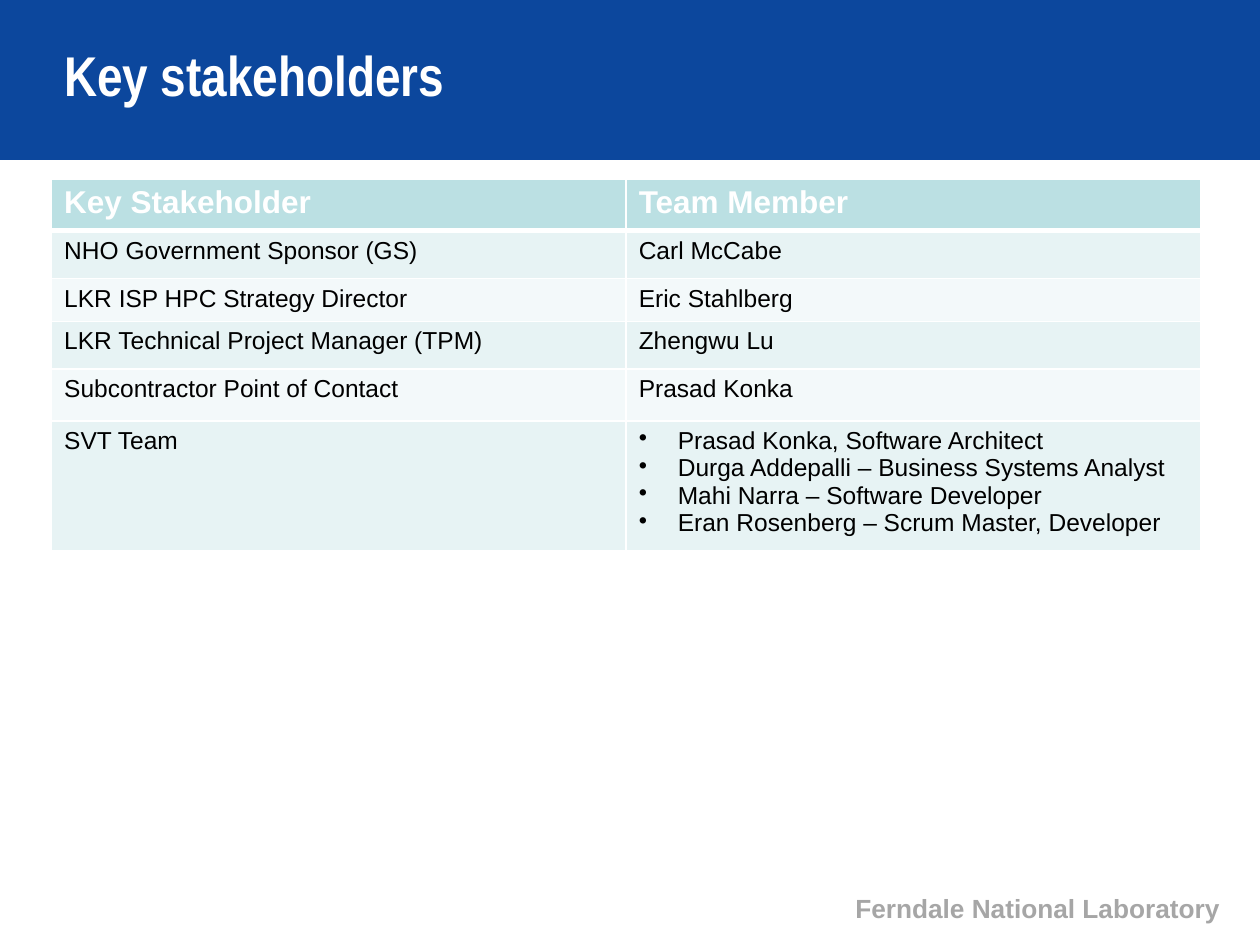
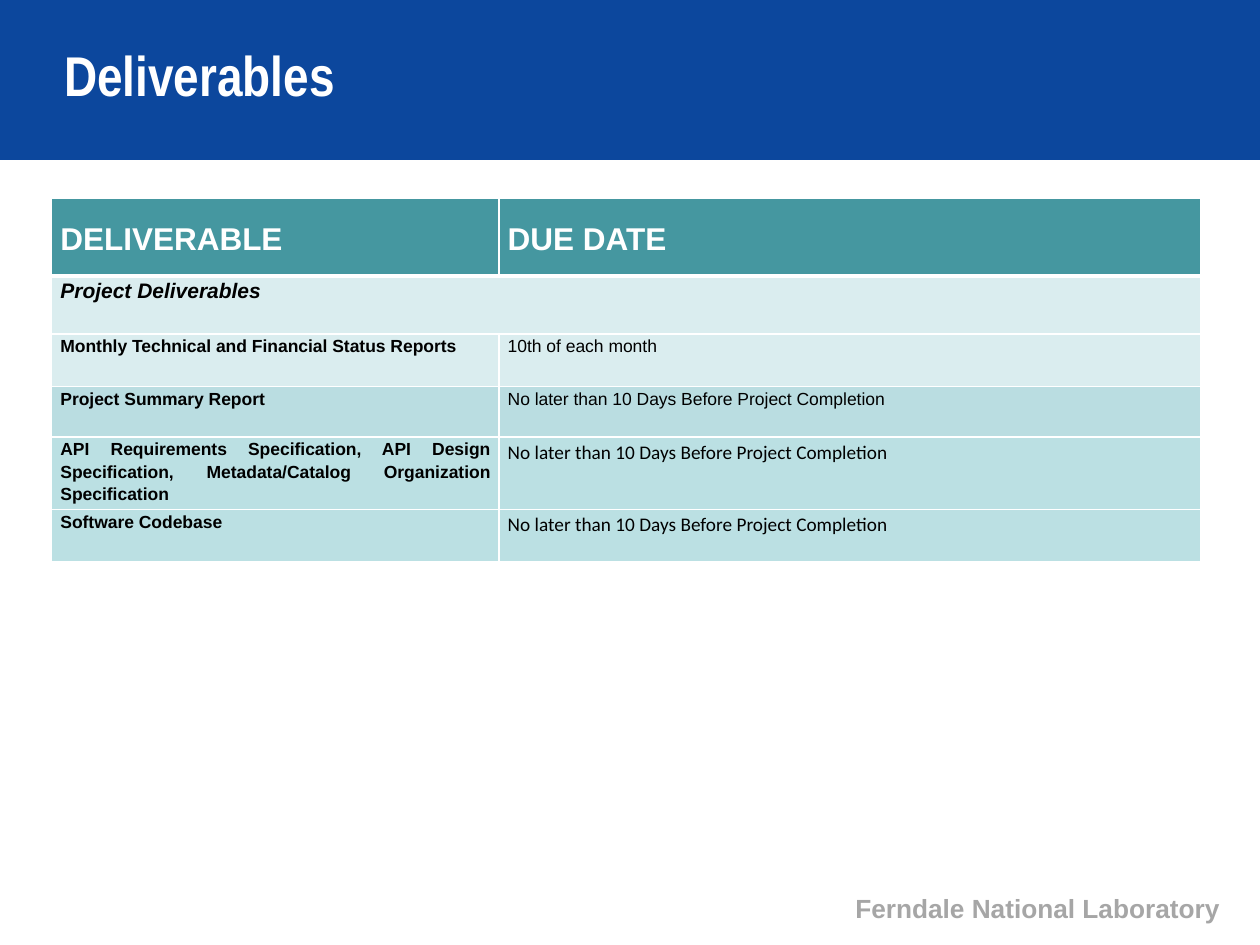
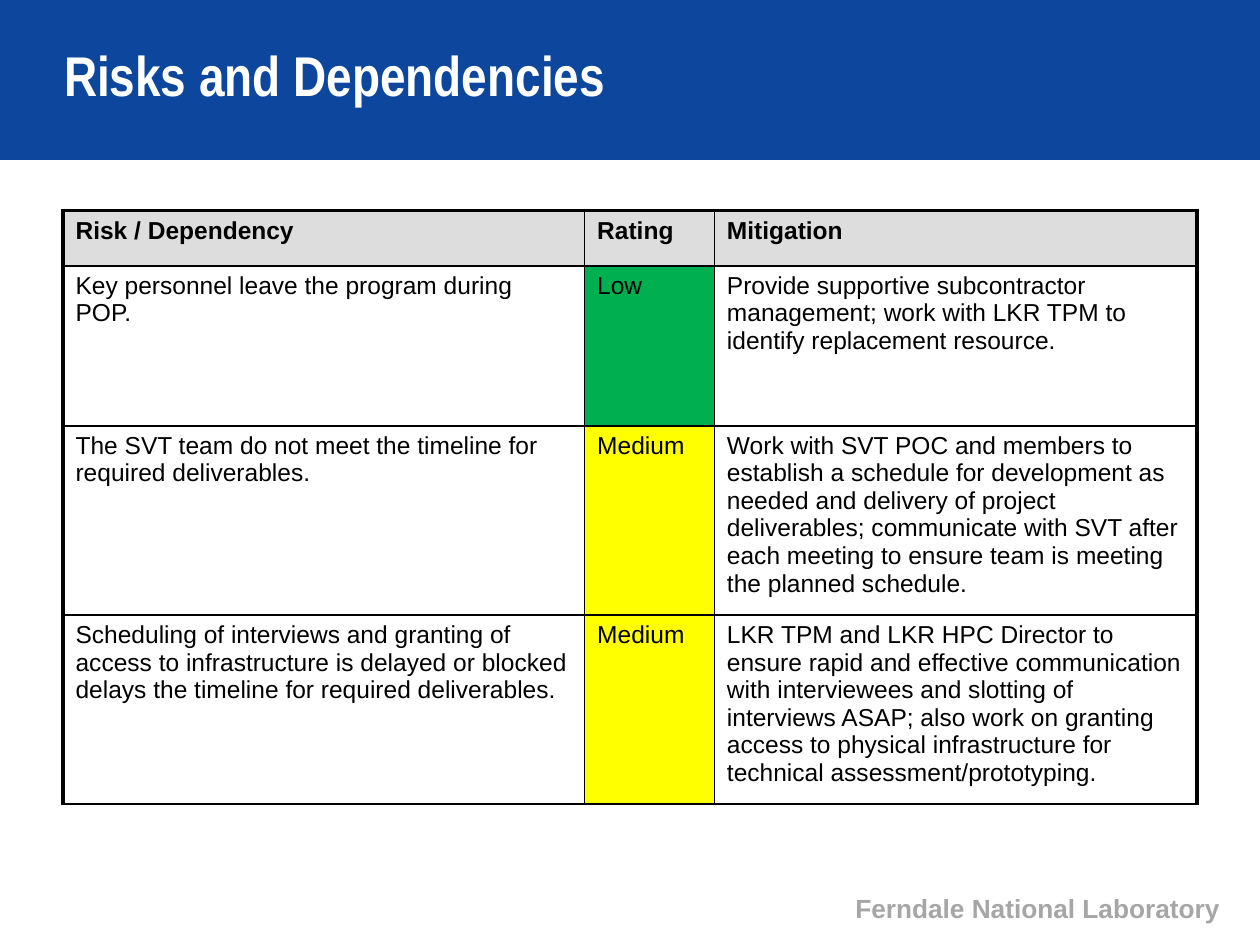
from dataclasses import dataclass
from lxml.etree import SubElement
from pptx import Presentation
from pptx.dml.color import RGBColor
from pptx.enum.shapes import MSO_SHAPE
from pptx.enum.text import MSO_ANCHOR, PP_ALIGN
from pptx.oxml import parse_xml
from pptx.oxml.ns import nsdecls, qn
from pptx.util import Inches, Pt


@dataclass(frozen=True)
class Style:
    size: float
    color: str = "000000"
    bold: bool = False
    italic: bool = False
    face: str = "Arial"
    align: PP_ALIGN = PP_ALIGN.LEFT
    lead: float = 1
    after: float = 0


@dataclass(frozen=True)
class Theme:
    wide: float = 10
    high: float = 7.5
    white: str = "FFFFFF"
    black: str = "000000"
    band: str = "0C479D"
    gray: str = "DDDDDD"
    green: str = "00B050"
    yellow: str = "FFFF00"
    aqua: str = "BBE0E3"
    pale: str = "E7F3F4"
    faint: str = "F3F9FA"
    teal: str = "4597A0"
    mist: str = "DAEDEF"
    haze: str = "BADDE1"
    shade: str = "E4E4DC"


T = Theme()
JUST = PP_ALIGN.JUSTIFY
TITLE = Style(32, T.white, True, face="Arial Narrow", lead=0.9)
FOOT = Style(15, "A6A6A6", True, align=PP_ALIGN.RIGHT)
HEAD = Style(18, T.white, True)
BODY = Style(14)
BOLD = Style(14, bold=True)
TOP = Style(18, T.white, True, align=JUST, lead=1.15)
GROUP = Style(12, bold=True, italic=True, align=JUST, lead=1.15)
ITEM = Style(10, bold=True, align=JUST, lead=1.15)
DUE = Style(10, align=JUST, lead=1.15)
NOTE = Style(11, face="Calibri", lead=1.15, after=10)

FOOTER = "Ferndale National Laboratory"
LATE = "No later than 10 Days Before Project Completion"
TEAM = [
    "Prasad Konka, Software Architect",
    "Durga Addepalli – Business Systems Analyst",
    "Mahi Narra – Software Developer",
    "Eran Rosenberg – Scrum Master, Developer",
]


def plain(high, fill, *texts, style=BODY):
    return high, [(text, style, fill) for text in texts]


def due(high, fill, item, date, style):
    return high, [(item, ITEM, fill), (date, style, fill)]


def risk(high, text, rate, fill, plan):
    return high, [(text, BODY, T.white), (rate, BODY, fill), (plan, BODY, T.white)]


SLIDES = [
    dict(
        title="Key stakeholders", left=0.41, top=1.42, cols=[4.56, 4.56],
        inset=(0.1, 0.05), line=T.white, rim=(1, 1, 1, 1), under=3,
        rows=[
            plain(0.41, T.aqua, "Key Stakeholder", "Team Member", style=HEAD),
            plain(0.38, T.pale, "NHO Government Sponsor (GS)", "Carl McCabe"),
            plain(0.34, T.faint, "LKR ISP HPC Strategy Director", "Eric Stahlberg"),
            plain(0.38, T.pale, "LKR Technical Project Manager (TPM)", "Zhengwu Lu"),
            plain(0.41, T.faint, "Subcontractor Point of Contact", "Prasad Konka"),
            plain(0.97, T.pale, "SVT Team", TEAM),
        ],
    ),
    dict(
        title="Deliverables", left=0.41, top=1.57, cols=[3.55, 5.57],
        inset=(0.07, 0), line=T.white, rim=(1, 1, 1, 1), under=3,
        rows=[
            plain(0.62, T.teal, "DELIVERABLE", "DUE DATE", style=TOP),
            plain(0.46, T.mist, "Project Deliverables", style=GROUP),
            due(0.42, T.mist, "Monthly Technical and Financial Status Reports",
                "10th of each month", DUE),
            due(0.4, T.haze, "Project Summary Report", LATE, DUE),
            due(0.54, T.aqua, "API Requirements Specification, API Design Specification, "
                "Metadata/Catalog Organization Specification", LATE, NOTE),
            due(0.41, T.aqua, "Software Codebase", LATE, NOTE),
        ],
    ),
    dict(
        title="Risks and Dependencies", left=0.5, top=1.67, cols=[4.14, 1.03, 3.83],
        inset=(0.1, 0.05), line=T.black, rim=(2.25, 2.25, 2.25, 1), under=1,
        rows=[
            plain(0.44, T.gray, "Risk / Dependency", "Rating", "Mitigation", style=BOLD),
            risk(1.27, "Key personnel leave the program during POP.", "Low", T.green,
                 "Provide supportive subcontractor management; work with LKR TPM to "
                 "identify replacement resource."),
            risk(1.41, "The SVT team do not meet the timeline for required deliverables.",
                 "Medium", T.yellow,
                 "Work with SVT POC and members to establish a schedule for development "
                 "as needed and delivery of project deliverables; communicate with SVT "
                 "after each meeting to ensure team is meeting the planned schedule."),
            risk(1.41, "Scheduling of interviews and granting of access to infrastructure "
                 "is delayed or blocked delays the timeline for required deliverables.",
                 "Medium", T.yellow,
                 "LKR TPM and LKR HPC Director to ensure rapid and effective "
                 "communication with interviewees and slotting of interviews ASAP; also "
                 "work on granting access to physical infrastructure for technical "
                 "assessment/prototyping."),
        ],
    ),
]


def paint(thing, color):
    thing.fill.solid()
    thing.fill.fore_color.rgb = RGBColor.from_string(color)


def write(frame, text, style):
    lines = [text] if isinstance(text, str) else text
    for n, line in enumerate(lines):
        para = frame.add_paragraph() if n else frame.paragraphs[0]
        para.add_run().text = line
        para.alignment = style.align
        para.line_spacing = style.lead
        para.space_after = Pt(style.after)
        font = para.font
        font.name, font.size = style.face, Pt(style.size)
        font.bold, font.italic = style.bold, style.italic
        font.color.rgb = RGBColor.from_string(style.color)
        if len(lines) > 1:
            props = para._p.get_or_add_pPr()
            props.set("marL", str(Inches(0.31)))
            props.set("indent", str(-Inches(0.31)))
            mark = parse_xml(f'<a:buChar {nsdecls("a")} char="•"/>')
            props.find(qn("a:defRPr")).addprevious(mark)


def label(slide, box, text, style, anchor):
    shape = slide.shapes.add_textbox(*map(Inches, box))
    frame = shape.text_frame
    frame.word_wrap = True
    frame.vertical_anchor = anchor
    write(frame, text, style)
    return frame.paragraphs[0].runs[0]


def shadow(run):
    effect = SubElement(run._r.get_or_add_rPr(), qn("a:effectLst"))
    outer = SubElement(effect, qn("a:outerShdw"), dist="25400", dir="2700000")
    SubElement(outer, qn("a:srgbClr"), val=T.shade)


def border(cell, widths, color):
    props = cell._tc.get_or_add_tcPr()
    for n, (side, width) in enumerate(zip("LTRB", widths)):
        props.insert(n, parse_xml(
            f'<a:ln{side} {nsdecls("a")} w="{Pt(width)}"><a:solidFill>'
            f'<a:srgbClr val="{color}"/></a:solidFill></a:ln{side}>'))


def grid(slide, data):
    rows, cols = data["rows"], data["cols"]
    deep, broad = len(rows), len(cols)
    high = sum(row[0] for row in rows)
    box = data["left"], data["top"], sum(cols), high
    table = slide.shapes.add_table(deep, broad, *map(Inches, box)).table
    table.first_row = table.horz_banding = False
    for col, width in zip(table.columns, cols):
        col.width = Inches(width)
    left, top, right, base = data["rim"]
    side, edge = map(Inches, data["inset"])
    for r, (tall, cells) in enumerate(rows):
        table.rows[r].height = Inches(tall)
        if len(cells) < broad:
            table.cell(r, 0).merge(table.cell(r, broad - 1))
        for c, (text, style, fill) in enumerate(cells):
            cell = table.cell(r, c)
            cell.margin_left = cell.margin_right = side
            cell.margin_top = cell.margin_bottom = edge
            cell.vertical_anchor = MSO_ANCHOR.MIDDLE if style is TOP else MSO_ANCHOR.TOP
            write(cell.text_frame, text, style)
            paint(cell, fill)
            over = top if r == 0 else data["under"] if r == 1 else 1
            below = data["under"] if r == 0 else base if r == deep - 1 else 1
            last = c == len(cells) - 1
            border(cell, (1 if c else left, over, right if last else 1, below), data["line"])


def frame(slide, title):
    label(slide, (5.53, 7.03, 4.25, 0.35), FOOTER, FOOT, MSO_ANCHOR.BOTTOM)
    band = slide.shapes.add_shape(MSO_SHAPE.RECTANGLE, 0, 0, Inches(T.wide), Inches(1.27))
    band.shadow.inherit = False
    band.line.fill.background()
    paint(band, T.band)
    shadow(label(slide, (0.41, 0, 9.12, 1.25), title, TITLE, MSO_ANCHOR.MIDDLE))


deck = Presentation()
deck.slide_width, deck.slide_height = Inches(T.wide), Inches(T.high)
for data in SLIDES:
    slide = deck.slides.add_slide(deck.slide_layouts[6])
    paint(slide.background, T.white)
    frame(slide, data["title"])
    grid(slide, data)
deck.save("out.pptx")
